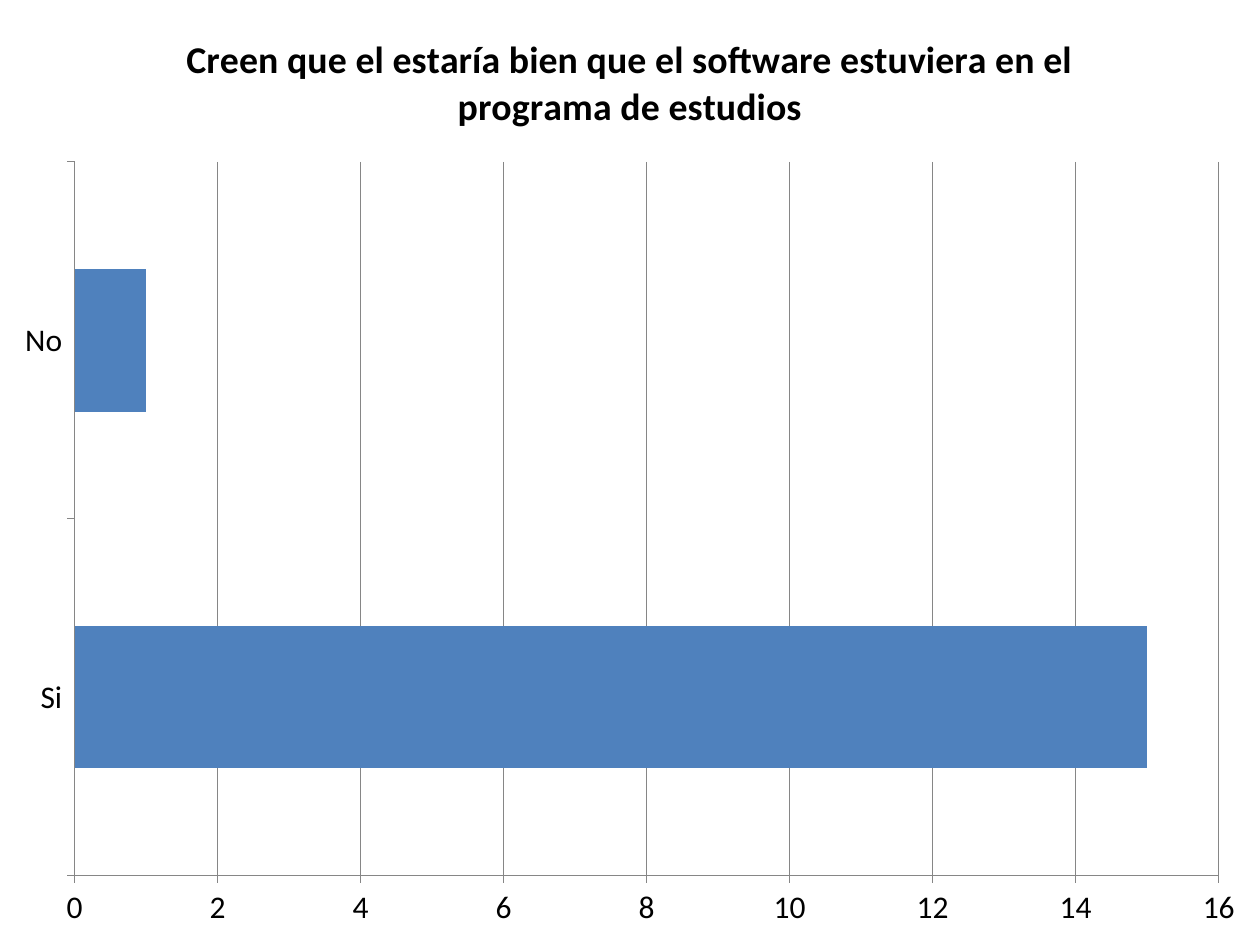
from pptx import Presentation
from pptx.chart.data import CategoryChartData
from pptx.dml.color import RGBColor
from pptx.enum.chart import XL_CHART_TYPE as ChartType, XL_TICK_MARK as Tick
from pptx.util import Pt

TITLE = "Creen que el estaría bien que el software estuviera en el programa de estudios"
ANSWERS = {"Si": 15, "No": 1}
FONT = "Calibri"
BLACK = RGBColor(0x00, 0x00, 0x00)
BLUE = RGBColor(0x4F, 0x81, 0xBD)
GRAY = RGBColor(0x86, 0x86, 0x86)
PX = 914400 // 126
WIDTH, HEIGHT = 1260 * PX, 945 * PX


def style_font(font, size, bold):
    font.name, font.size, font.bold = FONT, Pt(size), bold
    font.color.rgb = BLACK


def style_line(line):
    line.color.rgb = GRAY
    line.width = Pt(0.75)


def main():
    """Build the slide with the survey bar chart."""
    prs = Presentation()
    prs.slide_width, prs.slide_height = WIDTH, HEIGHT
    s = prs.slides.add_slide(prs.slide_layouts[6])

    data = CategoryChartData()
    data.categories = list(ANSWERS)
    data.add_series("Series 1", list(ANSWERS.values()))
    chart = s.shapes.add_chart(
        ChartType.BAR_STACKED, 0, 0, WIDTH, HEIGHT, data).chart
    chart.has_legend = False
    style_font(chart.font, 18, False)

    chart.has_title = True
    chart.chart_title.include_in_layout = False
    r = chart.chart_title.text_frame.paragraphs[0].add_run()
    r.text = TITLE
    style_font(r.font, 21.6, True)

    for axis in (chart.category_axis, chart.value_axis):
        axis.major_tick_mark = Tick.OUTSIDE
        axis.minor_tick_mark = Tick.NONE
        style_line(axis.format.line)
    axis = chart.value_axis
    axis.minimum_scale, axis.maximum_scale, axis.major_unit = 0, 16, 2
    axis.has_major_gridlines = True
    style_line(axis.major_gridlines.format.line)

    plot = chart.plots[0]
    plot.gap_width, plot.overlap = 150, 100
    plot.vary_by_categories = False
    fill = plot.series[0].format.fill
    fill.solid()
    fill.fore_color.rgb = BLUE

    prs.save("out.pptx")


if __name__ == "__main__":
    main()
